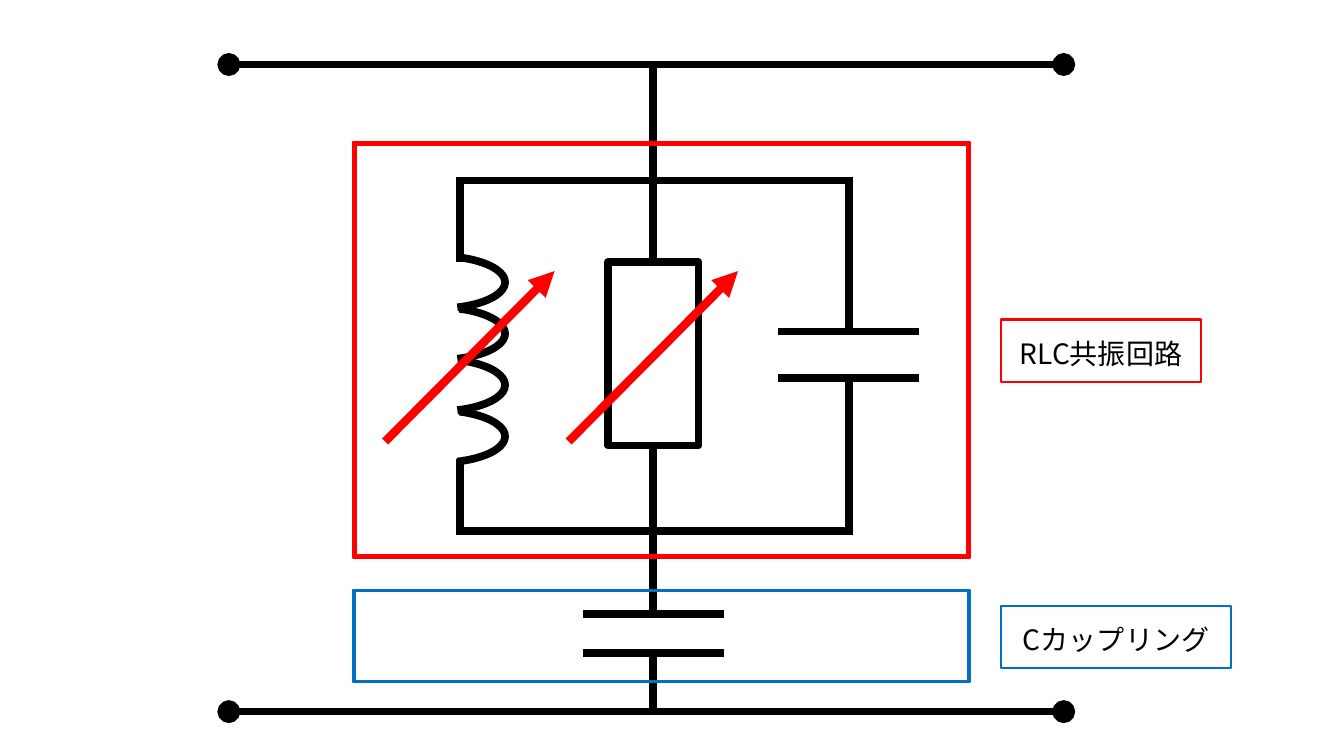
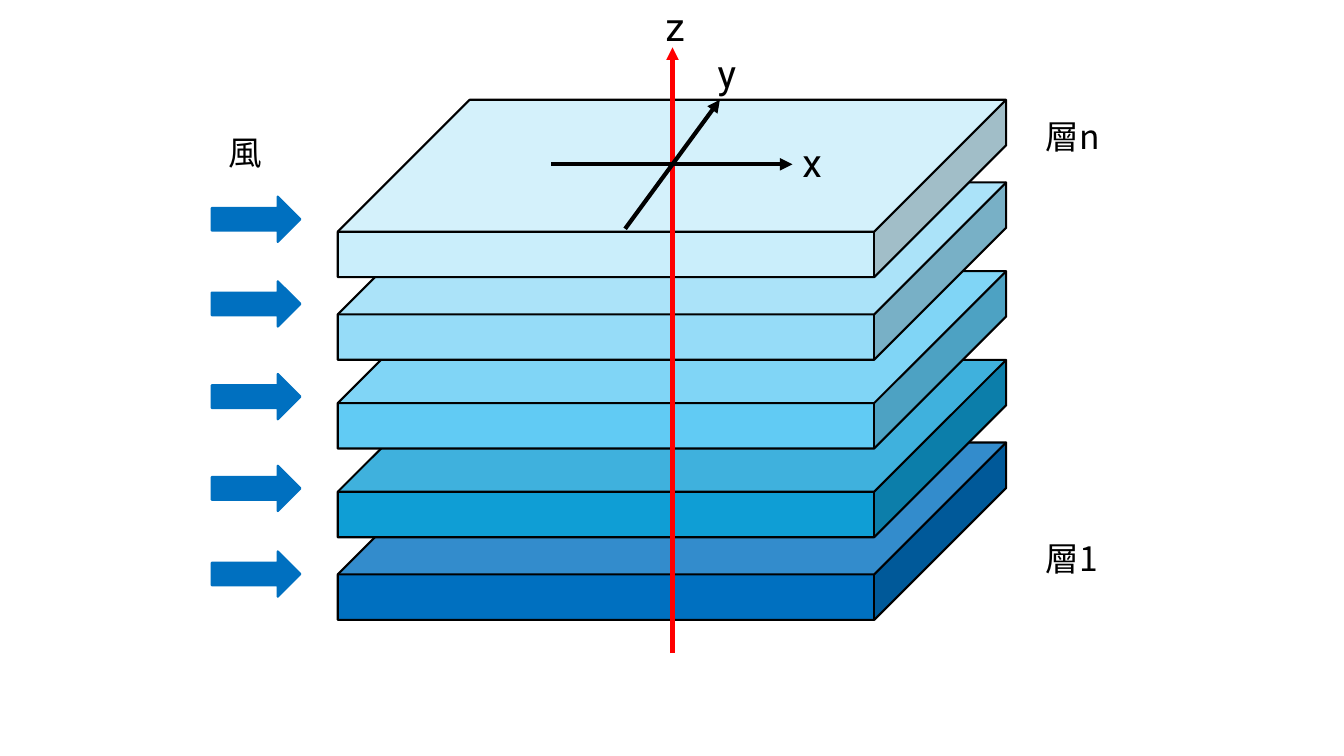
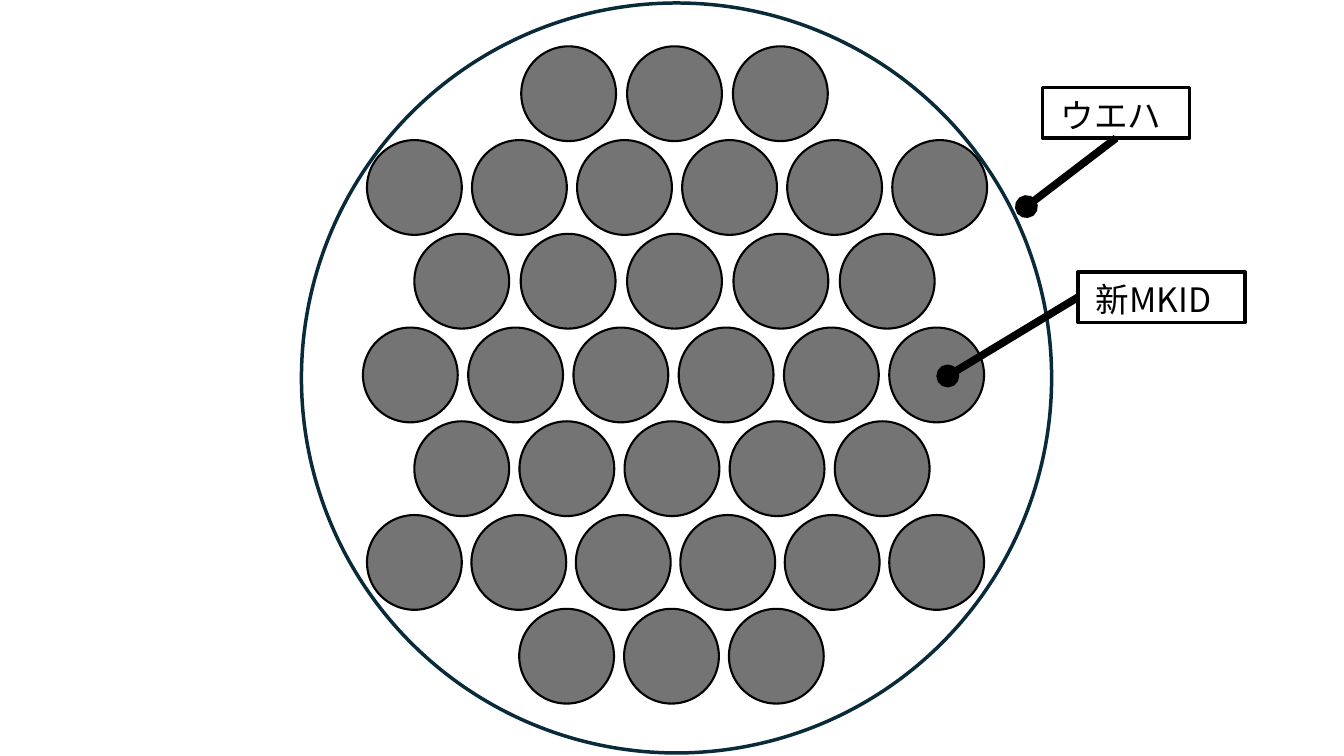
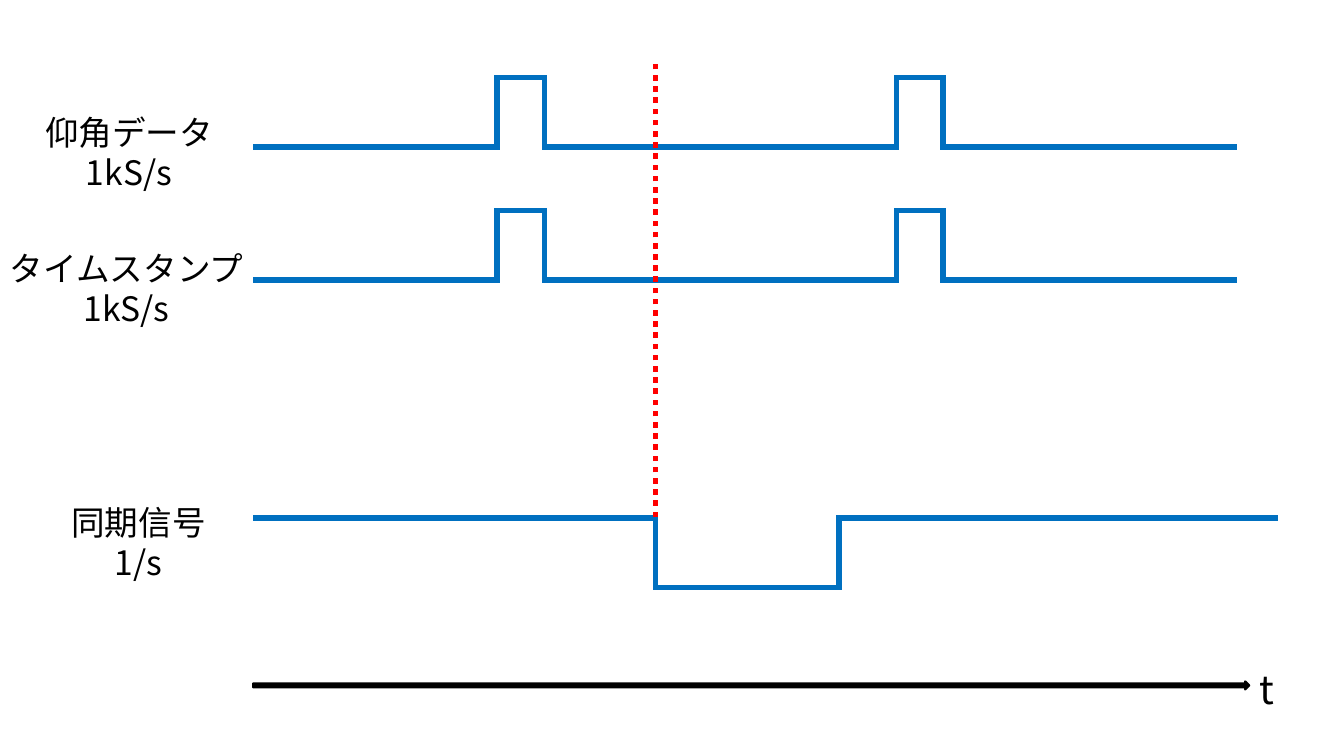
from itertools import pairwise

from pptx import Presentation
from pptx.dml.color import RGBColor
from pptx.enum.dml import MSO_LINE as Dash
from pptx.enum.shapes import MSO_CONNECTOR as Connector, MSO_SHAPE as Shape
from pptx.enum.text import MSO_ANCHOR as Anchor, PP_ALIGN as Align
from pptx.oxml.ns import qn
from pptx.util import Inches, Pt

BLACK = RGBColor(0x00, 0x00, 0x00)
WHITE = RGBColor(0xFF, 0xFF, 0xFF)
RED = RGBColor(0xFF, 0x00, 0x00)
BLUE = RGBColor(0x00, 0x70, 0xC0)
GRAY = RGBColor(0x74, 0x74, 0x74)
NAVY = RGBColor(0x09, 0x2A, 0x39)
# Air layers from the ground up
LAYER_COLORS = [
    BLUE,
    RGBColor(0x0F, 0x9E, 0xD5),
    RGBColor(0x61, 0xCB, 0xF4),
    RGBColor(0x96, 0xDC, 0xF8),
    RGBColor(0xCA, 0xEE, 0xFB),
]

JAPANESE = "Noto Sans CJK JP"
LATIN = "Roboto"


def write(shape, text, size=24, font=JAPANESE, color=BLACK,
          align=Align.LEFT, inset=0.1):
    """Put text into a shape, centred vertically with fixed line height."""
    frame = shape.text_frame
    frame.word_wrap = True
    frame.vertical_anchor = Anchor.MIDDLE
    frame.margin_left = frame.margin_right = Inches(inset)
    frame.margin_top, frame.margin_bottom = Inches(0.04), 0
    frame.text = text
    paragraph = frame.paragraphs[0]
    paragraph.alignment = align
    paragraph.line_spacing = Pt(1.2 * size)
    for run in paragraph.runs:
        run.font.size = Pt(size)
        run.font.name = font
        run.font.color.rgb = color
        east_asian = run.font._element.makeelement(qn("a:ea"), {"typeface": font})
        run.font._element.find(qn("a:latin")).addnext(east_asian)


class Deck:
    """Holds the drawing style and the current slide."""

    wire = 5.5      # heavy line width
    outline = 1.5   # normal shape outline

    def __init__(self):
        self.show = Presentation()
        self.show.slide_width = Inches(13.33)
        self.show.slide_height = Inches(7.5)
        self.shapes = None

    def new_slide(self):
        blank = self.show.slide_layouts[6]
        self.shapes = self.show.slides.add_slide(blank).shapes

    def block(self, kind, box, fill=None, line=None, width=outline, adjust=()):
        shape = self.shapes.add_shape(kind, *map(Inches, box))
        shape.shadow.inherit = False
        if fill is None:
            shape.fill.background()
        else:
            shape.fill.solid()
            shape.fill.fore_color.rgb = fill
        if line is None:
            shape.line.fill.background()
        else:
            shape.line.color.rgb = line
            shape.line.width = Pt(width)
        for index, value in enumerate(adjust):
            shape.adjustments[index] = value
        return shape

    def label(self, text, box, line=None, width=outline, **style):
        shape = self.block(Shape.RECTANGLE, box, WHITE, line, width)
        write(shape, text, **style)
        return shape

    def caption(self, text, box, **style):
        write(self.shapes.add_textbox(*map(Inches, box)), text, **style)

    def line(self, start, end, color=BLACK, width=wire, head=None, tail=None,
             dash=None, cap=None):
        link = self.shapes.add_connector(
            Connector.STRAIGHT, *map(Inches, (*start, *end)))
        link.line.color.rgb = color
        link.line.width = Pt(width)
        if dash is not None:
            link.line.dash_style = dash
        properties = link._element.spPr
        stroke = properties.find(qn("a:ln"))
        if cap:
            stroke.set("cap", cap)
        for tag, kind in (("a:headEnd", head), ("a:tailEnd", tail)):
            if kind:
                stroke.append(stroke.makeelement(qn(tag), {"type": kind}))
        properties.append(properties.makeelement(qn("a:effectLst"), {}))
        return link

    def trace(self, points, **style):
        """Draw joined segments; square caps close the corners."""
        for start, end in pairwise(points):
            self.line(start, end, cap="sq", **style)


def circuit_slide(deck):
    deck.new_slide()
    center, top_rail, bottom_rail = 6.48, 0.64, 7.06
    for rail in (top_rail, bottom_rail):
        deck.line((2.27, rail), (10.55, rail), head="oval", tail="oval")

    # Resistor on the centre line
    resistor = deck.block(Shape.RECTANGLE, (6.03, 2.6, 0.9, 1.82),
                          line=BLACK, width=deck.wire)
    deck.line((center, top_rail), (center, 2.6)).end_connect(resistor, 0)
    deck.line((center, 4.42), (center, 6.09)).begin_connect(resistor, 2)
    deck.line((center, 6.48), (center, bottom_rail))

    # Loop through the inductor and the capacitor
    coil_x, capacitor_x = 4.56, 8.42
    deck.trace([(coil_x, 2.56), (coil_x, 1.79),
                (capacitor_x, 1.79), (capacitor_x, 3.29)])
    deck.trace([(coil_x, 4.59), (coil_x, 5.27),
                (capacitor_x, 5.27), (capacitor_x, 3.75)])
    for x, plates in ((capacitor_x, (3.29, 3.75)), (center, (6.09, 6.48))):
        for y in plates:
            deck.line((x - 0.7, y), (x + 0.7, y))
    for turn in range(4):
        deck.block(Shape.ARC, (3.68, 2.54 + 0.51 * turn, 1.33, 0.52),
                   line=BLACK, width=deck.wire, adjust=(186.448, 31.452))

    # Arrows marking the variable parts
    for x in (5.64, 3.82):
        deck.line((x, 4.38), (x + 1.68, 2.69), RED, 6, tail="triangle")

    # Framed regions and their names
    regions = [
        ("RLC共振回路", RED, 1.41, 4.13, 0.007, (9.93, 3.17, 1.98, 0.62)),
        ("Cカップリング", BLUE, 5.85, 0.92, 0.018, (9.93, 6.01, 2.28, 0.62)),
    ]
    for name, color, top, height, rim, name_box in regions:
        deck.block(Shape.FRAME, (3.5, top, 6.12, height), color, color,
                   adjust=(rim,))
        deck.label(name, name_box, color, size=20, align=Align.CENTER)


def layers_slide(deck):
    deck.new_slide()
    for top, color in zip((4.39, 3.57, 2.69, 1.81, 0.99), LAYER_COLORS):
        deck.block(Shape.CUBE, (3.35, top, 6.63, 1.76), color, BLACK,
                   adjust=(0.744,))

    # Axes
    axes = [
        ("z", (6.67, 6.48), (6.67, 0.47), RED, (6.5, 0)),
        ("x", (5.47, 1.63), (7.86, 1.63), BLACK, (7.86, 1.35)),
        ("y", (6.2, 2.27), (7.14, 0.99), BLACK, (7.02, 0.47)),
    ]
    for name, start, end, color, corner in axes:
        deck.line(start, end, color, 3, tail="triangle")
        deck.caption(name, (*corner, 0.7, 0.47), size=28, font=LATIN)

    # Wind arrows and side labels
    for top in (1.95, 2.79, 3.71, 4.62, 5.47):
        deck.block(Shape.RIGHT_ARROW, (2.1, top, 0.88, 0.45), BLUE, BLUE)
    for text, left, top in (("層1", 10.19, 5.27), ("層n", 10.19, 1.08),
                            ("風", 2.09, 1.24)):
        deck.label(text, (left, top, 1.03, 0.5), inset=0.18)


def wafer_slide(deck):
    deck.new_slide()
    deck.block(Shape.OVAL, (2.99, 0.03, 7.44, 7.44), line=NAVY, width=2.5)

    # Detector rows: first left, last left, count
    rows = [(5.17, 7.27, 3), (3.64, 8.85, 6), (4.11, 8.33, 5), (3.6, 8.82, 6),
            (4.11, 8.28, 5), (3.64, 8.82, 6), (5.15, 7.23, 3)]
    for row, (first, last, count) in enumerate(rows):
        pitch = (last - first) / (count - 1)
        for column in range(count):
            deck.block(Shape.OVAL,
                       (first + pitch * column, 0.46 + 0.93 * row, 0.94, 0.94),
                       GRAY, BLACK)

    # Callouts: text, box, dot, line end, side joined
    callouts = [
        ("ウエハ", (10.34, 0.87, 1.46, 0.5), (10.18, 2.05), (11.07, 1.37), 2),
        ("新MKID", (10.69, 2.7, 1.66, 0.5), (9.4, 3.73), (10.69, 2.95), 1),
    ]
    for text, box, dot, end, side in callouts:
        name = deck.label(text, box, BLACK, 2.5, inset=0.18)
        deck.line(dot, end, head="oval").end_connect(name, side)


def timing_slide(deck):
    deck.new_slide()
    # Time axis
    deck.block(Shape.RIGHT_ARROW, (2.51, 6.76, 9.88, 0.08), BLACK, BLACK)
    deck.caption("t", (12.39, 6.58, 0.73, 0.47), size=28)

    # Pulse trains
    start, sync_x = 2.54, 6.5
    for low in (1.46, 2.78):
        high = low - 0.69
        points = [(start, low)]
        for rise, fall in ((4.93, 5.4), (8.89, 9.35)):
            points += [(rise, low), (rise, high), (fall, high), (fall, low)]
        deck.trace(points + [(12.24, low)], color=BLUE, width=4)

    # Synchronising signal
    deck.trace([(start, 5.14), (sync_x, 5.14), (sync_x, 5.83), (8.32, 5.83),
                (8.32, 5.14), (12.65, 5.14)], color=BLUE, width=4)
    deck.line((sync_x, 5.13), (sync_x, 0.62), RED, 4, dash=Dash.ROUND_DOT)

    # Signal names
    for text, left, top, width in (("仰角データ\v1kS/s", 0.33, 1.03, 1.9),
                                   ("タイムスタンプ\v1kS/s", 0, 2.38, 2.51),
                                   ("同期信号\v1/s", 0.54, 4.9, 1.67)):
        deck.caption(text, (left, top, width, 0.91), align=Align.CENTER, inset=0)


def main():
    deck = Deck()
    for build in (circuit_slide, layers_slide, wafer_slide, timing_slide):
        build(deck)
    deck.show.save("out.pptx")


if __name__ == "__main__":
    main()
